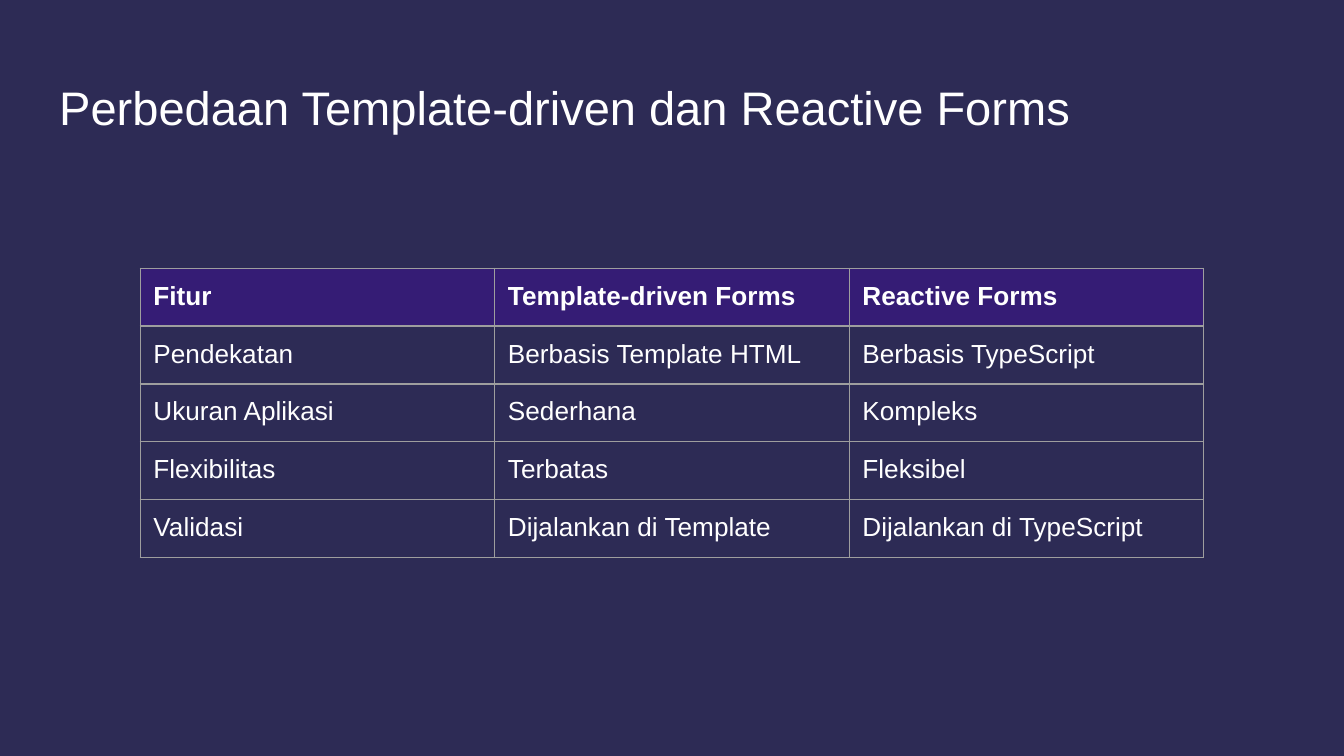
import pptx
import pptx.util
import pptx.dml.color
import pptx.enum.text
import pptx.oxml.ns
import lxml.etree
from pptx.util import Cm

# Content
TITLE = "Perbedaan Template-driven dan Reactive Forms"
ROWS = [
    ("Fitur", "Template-driven Forms", "Reactive Forms"),
    ("Pendekatan", "Berbasis Template HTML", "Berbasis TypeScript"),
    ("Ukuran Aplikasi", "Sederhana", "Kompleks"),
    ("Flexibilitas", "Terbatas", "Fleksibel"),
    ("Validasi", "Dijalankan di Template", "Dijalankan di TypeScript"),
]

# Format
BACKGROUND = pptx.dml.color.RGBColor(0x2D, 0x2B, 0x55)
HEADER_FILL = pptx.dml.color.RGBColor(0x35, 0x1C, 0x75)
TEXT_COLOR = pptx.dml.color.RGBColor(0xFF, 0xFF, 0xFF)
BORDER_COLOR = pptx.dml.color.RGBColor(0x9E, 0x9E, 0x9E)
BORDER_WIDTH = pptx.util.Pt(0.75)
COLUMN_WIDTH, ROW_HEIGHT = Cm(6.7), Cm(1.06)
MARGINS = dict.fromkeys(
    ("margin_left", "margin_top", "margin_right", "margin_bottom"), Cm(0.25))


def set_attributes(target, values):
    for name, value in values.items():
        setattr(target, name, value)


def write_text(text_frame, text, size, bold=False):
    run = text_frame.paragraphs[0].add_run()
    run.text = text
    set_attributes(run.font, {"name": "Arial", "size": pptx.util.Pt(size), "bold": bold})
    run.font.color.rgb = TEXT_COLOR


def add_borders(cell):
    properties = cell._tc.get_or_add_tcPr()
    for position, side in enumerate(("a:lnL", "a:lnR", "a:lnT", "a:lnB")):
        line = lxml.etree.Element(pptx.oxml.ns.qn(side), w=str(int(BORDER_WIDTH)))
        fill = lxml.etree.SubElement(line, pptx.oxml.ns.qn("a:solidFill"))
        lxml.etree.SubElement(fill, pptx.oxml.ns.qn("a:srgbClr"), val=str(BORDER_COLOR))
        properties.insert(position, line)


# Slide
presentation = pptx.Presentation()
set_attributes(presentation, {"slide_width": Cm(25.4), "slide_height": Cm(14.29)})
slide = presentation.slides.add_slide(presentation.slide_layouts[6])
slide.background.fill.solid()
slide.background.fill.fore_color.rgb = BACKGROUND

# Title
title = slide.shapes.add_textbox(Cm(0.87), Cm(1.24), Cm(23.67), Cm(1.6))
set_attributes(title.text_frame, {
    **MARGINS, "word_wrap": True,
    "vertical_anchor": pptx.enum.text.MSO_ANCHOR.TOP})
write_text(title.text_frame, TITLE, 25.2)

# Comparison table
row_count, column_count = len(ROWS), len(ROWS[0])
table = slide.shapes.add_table(
    row_count, column_count, Cm(2.65), Cm(5.07),
    COLUMN_WIDTH * column_count, ROW_HEIGHT * row_count).table
table.horz_banding = False
for column in table.columns:
    column.width = COLUMN_WIDTH
for row_index, texts in enumerate(ROWS):
    table.rows[row_index].height = ROW_HEIGHT
    is_header = row_index == 0
    for column_index, text in enumerate(texts):
        cell = table.cell(row_index, column_index)
        set_attributes(cell, MARGINS)
        write_text(cell.text_frame, text, 14, bold=is_header)
        if is_header:
            cell.fill.solid()
            cell.fill.fore_color.rgb = HEADER_FILL
        else:
            cell.fill.background()
        add_borders(cell)

presentation.save("out.pptx")
